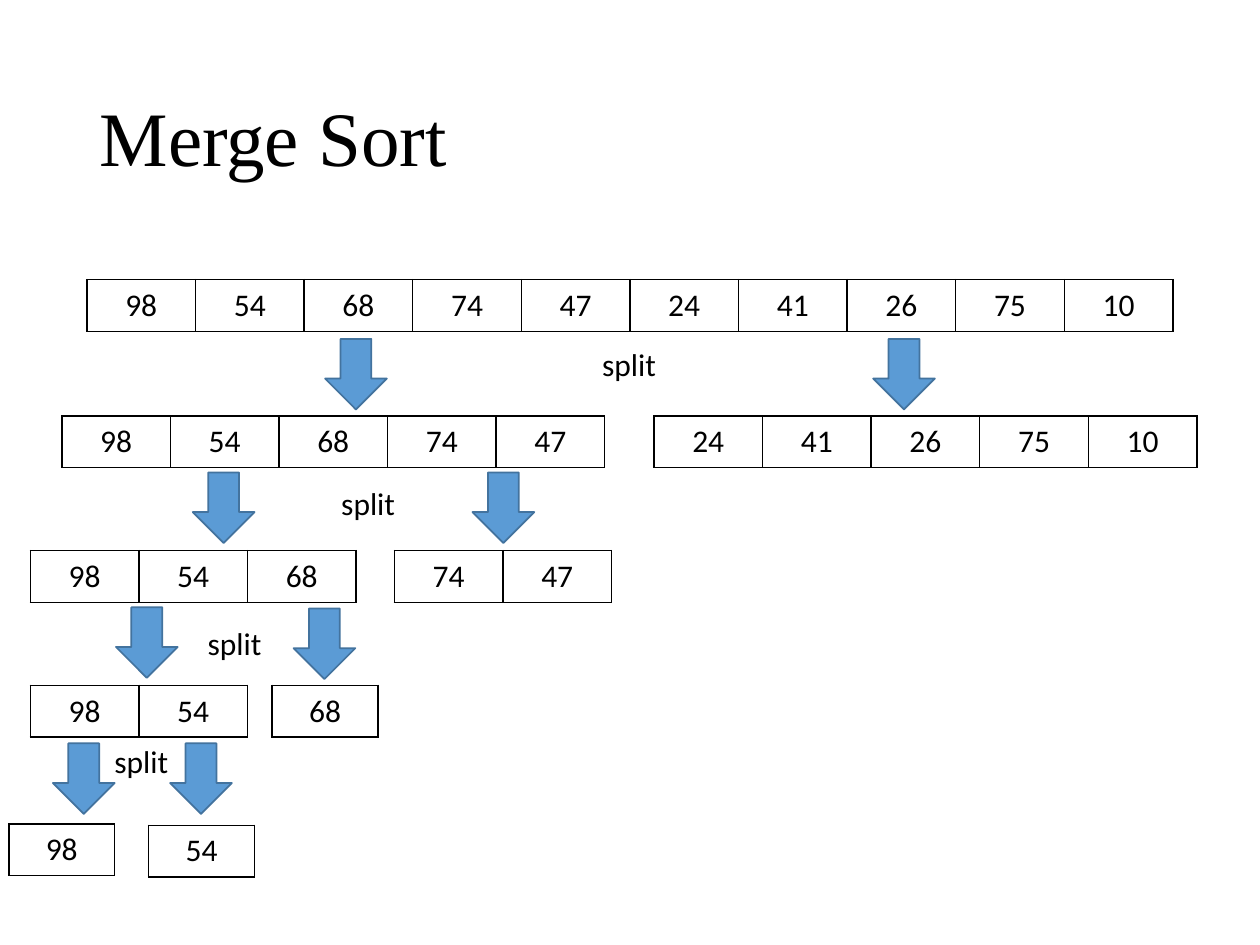
from lxml import etree
from pptx import Presentation
from pptx.dml.color import RGBColor
from pptx.enum.shapes import MSO_SHAPE
from pptx.enum.text import MSO_ANCHOR, MSO_AUTO_SIZE, PP_ALIGN
from pptx.oxml.ns import qn
from pptx.util import Inches, Pt


def color(value):
    return RGBColor.from_string(value)


def format_run(r, size, name):
    r.font.size = Pt(size)
    r.font.name = name
    r.font.bold = False
    r.font.color.rgb = color("000000")


prs = Presentation()
prs.slide_width = Inches(10)
prs.slide_height = Inches(7.5)
s = prs.slides.add_slide(prs.slide_layouts[5])

title = s.shapes.title
title.left, title.top = Inches(0.69), Inches(0.4)
title.width, title.height = Inches(8.62), Inches(1.45)
tf = title.text_frame
tf.text = "Merge Sort"
tf.vertical_anchor = MSO_ANCHOR.MIDDLE
p = tf.paragraphs[0]
p.alignment = PP_ALIGN.LEFT
p.line_spacing = 0.9
format_run(p.runs[0], 44, "Times New Roman")

numbers = [98, 54, 68, 74, 47, 24, 41, 26, 75, 10]
lists = [
    (0.69, 2.22, numbers),
    (0.49, 3.3, numbers[:5]),
    (5.19, 3.3, numbers[5:]),
    (0.24, 4.37, numbers[:3]),
    (3.13, 4.37, numbers[3:5]),
    (0.24, 5.44, numbers[:2]),
    (2.16, 5.44, numbers[2:3]),
    (0.07, 6.54, numbers[:1]),
    (1.18, 6.55, numbers[1:2]),
]
for left, top, values in lists:
    width = 0.862 * len(values) if len(values) > 1 else 0.84
    tbl = s.shapes.add_table(1, len(values), Inches(left), Inches(top),
                             Inches(width), Inches(0.41)).table
    tbl.first_row = False
    tbl.horz_banding = False
    for cell, value in zip(tbl.iter_cells(), values):
        cell.text = str(value)
        cell.vertical_anchor = MSO_ANCHOR.MIDDLE
        p = cell.text_frame.paragraphs[0]
        p.alignment = PP_ALIGN.CENTER
        format_run(p.runs[0], 18, "Calibri")
        tcPr = cell._tc.get_or_add_tcPr()
        for side in ("lnL", "lnR", "lnT", "lnB"):
            ln = etree.SubElement(tcPr, qn("a:" + side), w=str(Pt(1)))
            fill = etree.SubElement(ln, qn("a:solidFill"))
            etree.SubElement(fill, qn("a:srgbClr"), val="000000")
        cell.fill.background()

arrows = [(2.58, 2.69), (6.93, 2.69), (1.53, 3.75), (3.75, 3.75),
          (0.92, 4.82), (2.33, 4.83), (0.42, 5.9), (1.35, 5.9)]
for left, top in arrows:
    sp = s.shapes.add_shape(MSO_SHAPE.DOWN_ARROW, Inches(left), Inches(top),
                            Inches(0.49), Inches(0.56))
    sp.shadow.inherit = False
    sp.fill.solid()
    sp.fill.fore_color.rgb = color("5B9BD5")
    sp.line.color.rgb = color("43739E")
    sp.line.width = Pt(1)

for left, top in [(4.68, 2.69), (2.61, 3.79), (1.55, 4.9), (0.81, 5.84)]:
    sp = s.shapes.add_textbox(Inches(left), Inches(top), Inches(0.63), Inches(0.4))
    tf = sp.text_frame
    tf.text = "split"
    tf.word_wrap = False
    tf.auto_size = MSO_AUTO_SIZE.SHAPE_TO_FIT_TEXT
    format_run(tf.paragraphs[0].runs[0], 18, "Calibri")

prs.save("out.pptx")
